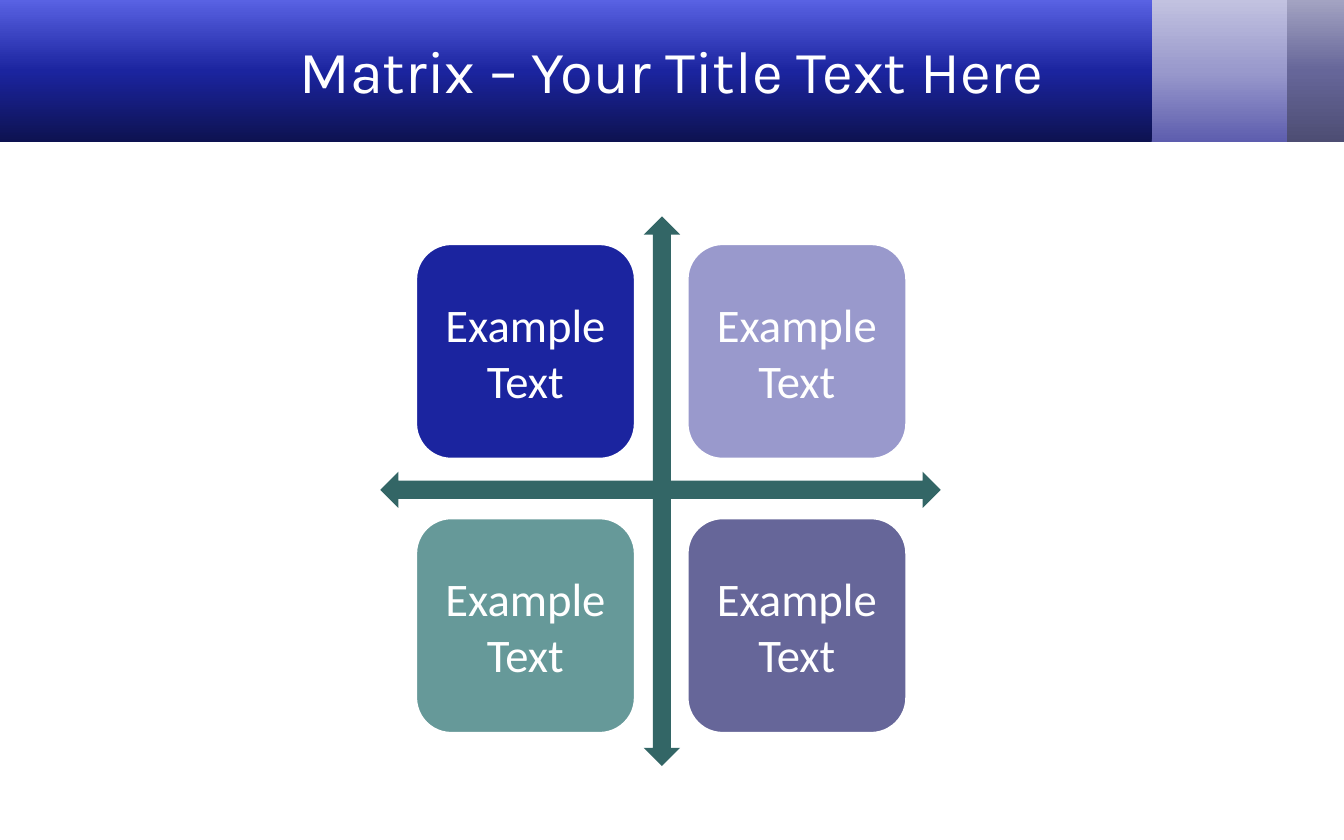
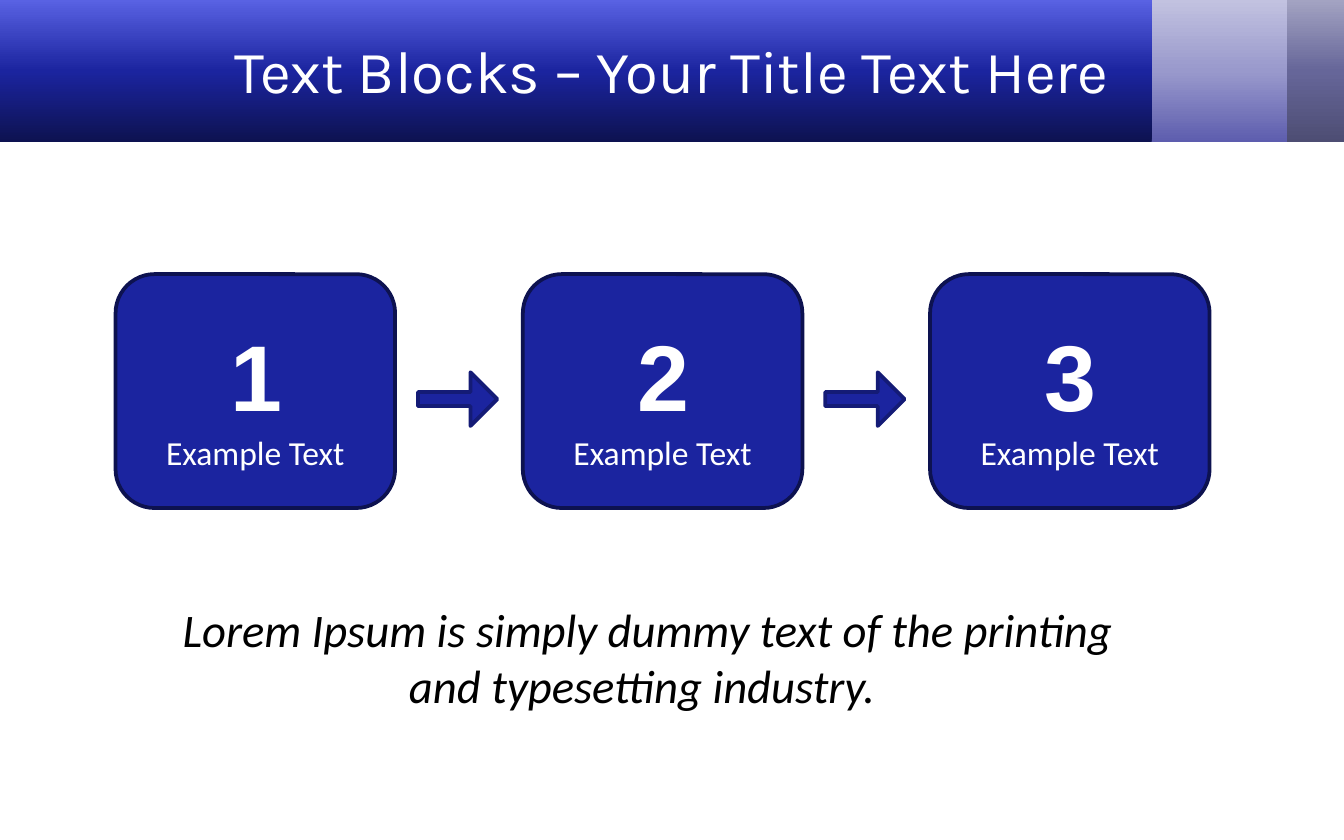
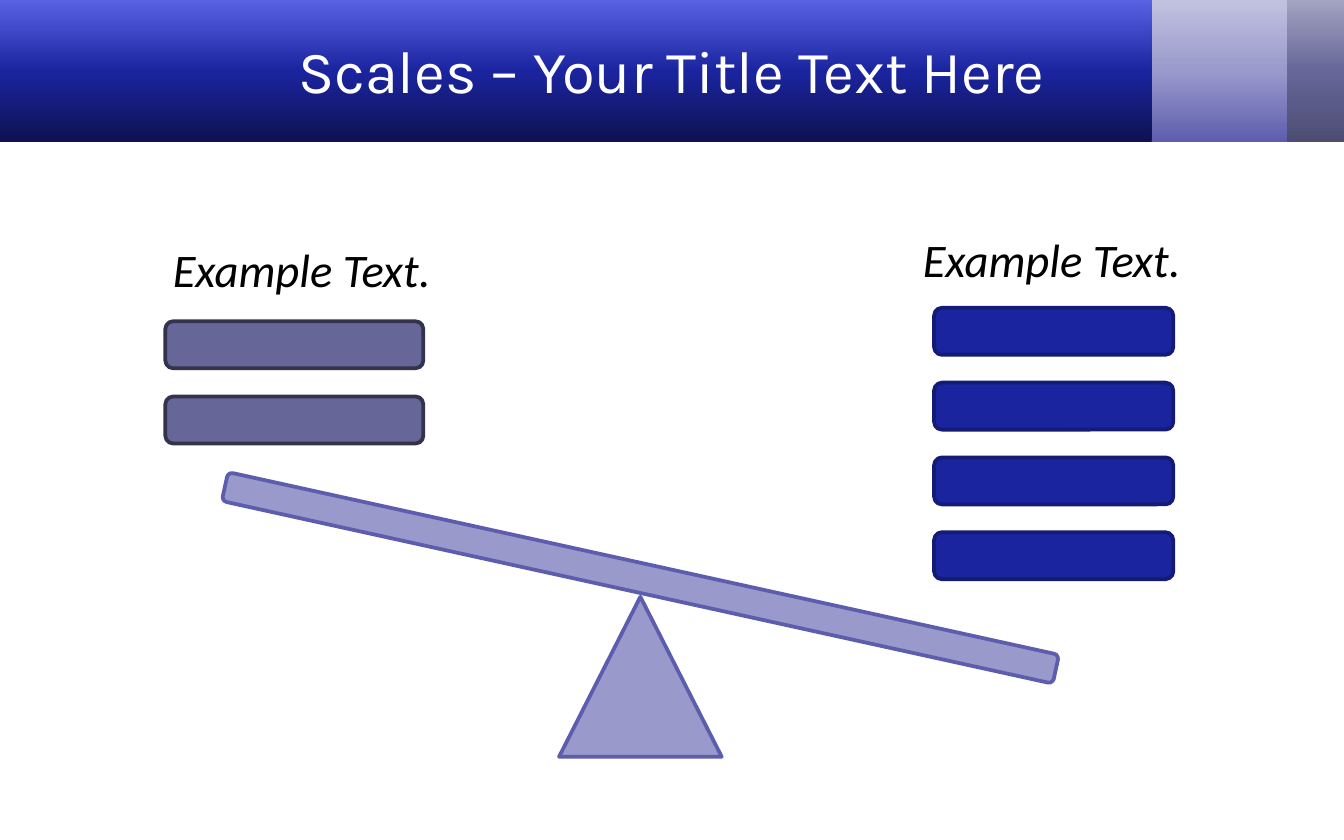
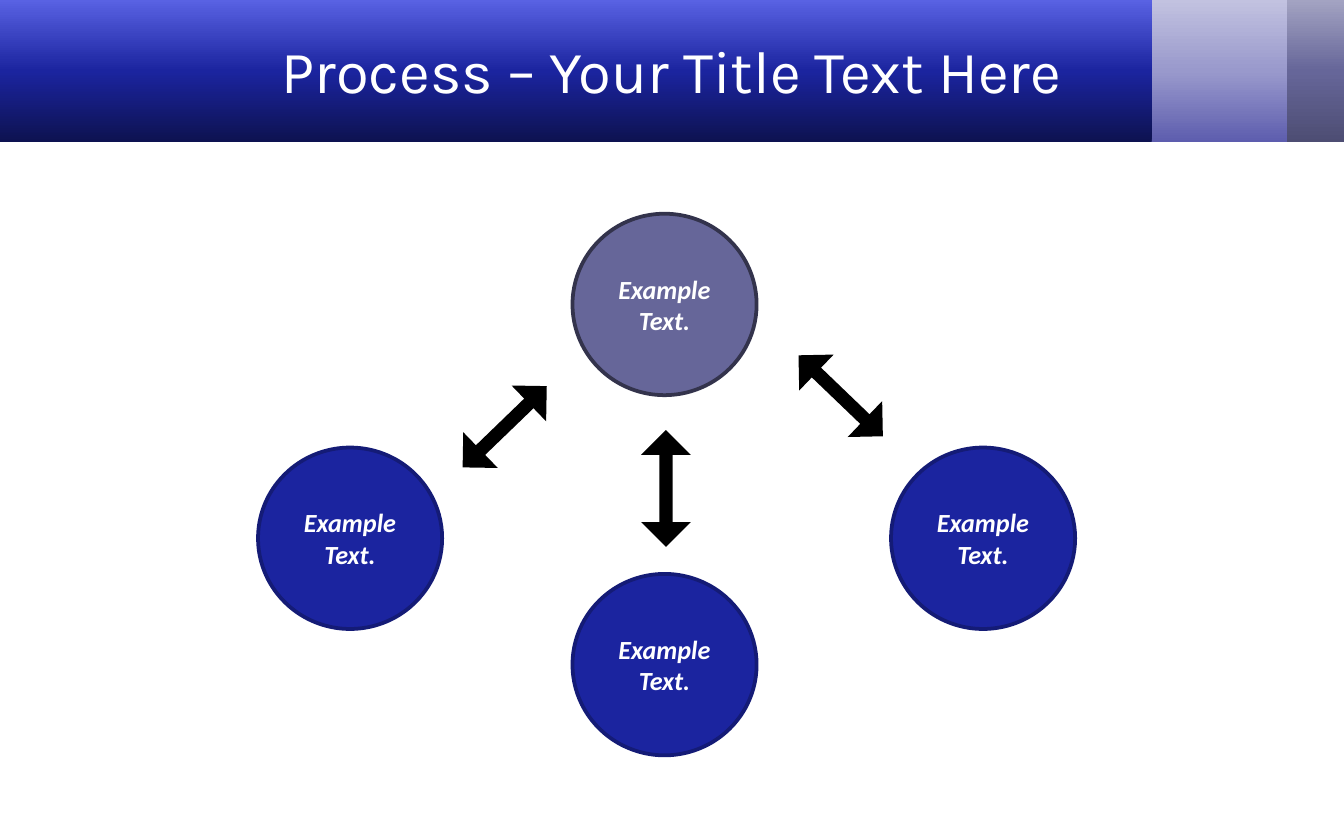
from copy import deepcopy

from pptx import Presentation
from pptx.dml.color import RGBColor
from pptx.enum import shapes, text
from pptx.oxml.ns import qn
from pptx.util import Inches, Pt

WHITE = RGBColor(0xFF, 0xFF, 0xFF)
BLACK = RGBColor(0, 0, 0)
NIGHT = RGBColor(0x0D, 0x12, 0x50)
NAVY = RGBColor(0x14, 0x1B, 0x76)
BLUE = RGBColor(0x1B, 0x24, 0x9F)
SKY = RGBColor(0x59, 0x62, 0xE3)
VIOLET = RGBColor(0x5D, 0x5D, 0xAE)
LILAC = RGBColor(0x99, 0x99, 0xCC)
PALE_LILAC = RGBColor(0xC2, 0xC2, 0xE0)
INK = RGBColor(0x33, 0x33, 0x4C)
DARK_SLATE = RGBColor(0x4D, 0x4D, 0x73)
SLATE = RGBColor(0x66, 0x66, 0x99)
PALE_SLATE = RGBColor(0xA3, 0xA3, 0xC2)
SEA = RGBColor(0x66, 0x99, 0x99)
TEAL = RGBColor(0x33, 0x66, 0x66)

SHAPE = shapes.MSO_SHAPE
ANCHOR = text.MSO_ANCHOR

# Bands at the top: box, colours from bottom to top
BAND_HEIGHT = 1.06
BANDS = [
    (9.43, 0.58, (DARK_SLATE, SLATE, PALE_SLATE)),
    (8.53, 1.05, (VIOLET, LILAC, PALE_LILAC)),
    (0, 8.57, (NIGHT, BLUE, SKY)),
]

TITLE_FONT = dict(name="Karla", size=Pt(32))
QUADRANT_FONT = dict(name="Calibri", size=Pt(25))
BLOCK_FONT = dict(name="Calibri", size=Pt(18))
NUMBER_FONT = dict(name="Arial", size=Pt(50), bold=True)
CAPTION_FONT = dict(name="Calibri", size=Pt(25), italic=True)
CIRCLE_FONT = dict(name="Calibri", size=Pt(14), bold=True, italic=True)

QUADRANTS = [
    [("Example Text", BLUE), ("Example Text", LILAC)],
    [("Example Text", SEA), ("Example Text", SLATE)],
]
AXES = [((2.88, 3.52, 4.09, 0.27), 90), ((2.83, 3.51, 4.17, 0.27), 0)]

BLOCKS = [("1", "Example Text"), ("2", "Example Text"), ("3", "Example Text")]
SUMMARY = ("Lorem Ipsum is simply dummy text of the printing "
           "and typesetting industry. ")

# Weights: caption, caption place, left, top, width, step, count, fill, line
WEIGHTS = [
    ("Example Text.", (1, 1.74), 1.23, 2.39, 1.92, 0.56, 2, SLATE, INK),
    ("Example Text.", (6.58, 1.67), 6.95, 2.29, 1.78, 1.67 / 3, 4, BLUE, NAVY),
]

CIRCLES = [
    ("Example Text.", 4.26, 1.59, SLATE, INK),
    ("Example Text.", 6.63, 3.33, BLUE, NAVY),
    ("Example Text.", 4.26, 4.27, BLUE, NAVY),
    ("Example Text.", 1.92, 3.33, BLUE, NAVY),
]
LINKS = [(4.52, 3.45, 90), (3.32, 2.99, 136), (5.82, 2.76, 223.8)]


def write(box, words, font, color, anchor):
    frame = box.text_frame
    frame.word_wrap = True
    frame.vertical_anchor = anchor
    paragraph = frame.paragraphs[0]
    paragraph.alignment = text.PP_ALIGN.CENTER
    run = paragraph.add_run()
    run.text = words
    for key, value in font.items():
        setattr(run.font, key, value)
    run.font.color.rgb = color


def add_words(slide, at, words, font, color=BLACK, anchor=ANCHOR.TOP):
    box = slide.shapes.add_textbox(*map(Inches, at))
    write(box, words, font, color, anchor)


def add_figure(slide, kind, at, fill=None, line=None, rotation=0, adjust=()):
    figure = slide.shapes.add_shape(kind, *map(Inches, at))
    figure.shadow.inherit = False
    figure.rotation = rotation
    for index, value in enumerate(adjust):
        figure.adjustments[index] = value
    if fill is not None:
        figure.fill.solid()
        figure.fill.fore_color.rgb = fill
    if line is None:
        figure.line.fill.background()
    else:
        figure.line.color.rgb = line
        figure.line.width = Pt(2)
    return figure


def fill_upward(figure, colors):
    """Gradient of three colours, the first at the bottom."""
    figure.fill.gradient()
    figure.fill.gradient_angle = 90
    stops = figure.element.spPr.find(qn("a:gradFill")).find(qn("a:gsLst"))
    stops.insert(1, deepcopy(stops[0]))
    for stop, color, position in zip(figure.fill.gradient_stops, colors, (0, 0.5, 1)):
        stop.color.rgb = color
        stop.position = position


def start_slide(deck, title):
    slide = deck.slides.add_slide(deck.slide_layouts[6])
    for left, width, colors in BANDS:
        band = add_figure(slide, SHAPE.RECTANGLE, (left, 0, width, BAND_HEIGHT))
        fill_upward(band, colors)
    add_words(slide, (0.5, 0.08, 9, 0.88), title, TITLE_FONT, WHITE, ANCHOR.MIDDLE)
    return slide


def build_matrix(deck):
    slide = start_slide(deck, "Matrix – Your Title Text Here")
    for row, quadrants in enumerate(QUADRANTS):
        for column, (words, fill) in enumerate(quadrants):
            at = (3.09 + column * 2.02, 1.81 + row * 2.04, 1.64, 1.61)
            quadrant = add_figure(slide, SHAPE.ROUNDED_RECTANGLE, at, fill, WHITE)
            write(quadrant, words, QUADRANT_FONT, WHITE, ANCHOR.MIDDLE)
    for at, rotation in AXES:
        add_figure(slide, SHAPE.LEFT_RIGHT_ARROW, at, TEAL, rotation=rotation)


def build_blocks(deck):
    slide = start_slide(deck, "Text Blocks – Your Title Text Here")
    for index, (number, words) in enumerate(BLOCKS):
        left = 0.86 + index * 3.03
        if index:
            add_figure(slide, SHAPE.RIGHT_ARROW, (left - 0.78, 2.77, 0.59, 0.4),
                       BLUE, NAVY, adjust=(0.26, 0.5))
        block = add_figure(slide, SHAPE.ROUNDED_RECTANGLE,
                           (left, 2.04, 2.08, 1.74), BLUE, NIGHT)
        write(block, words, BLOCK_FONT, WHITE, ANCHOR.BOTTOM)
        block.text_frame.margin_bottom = Inches(0.18)
        add_words(slide, (left + 0.64, 2.32, 0.81, 0.94), number, NUMBER_FONT, WHITE)
    add_words(slide, (1.19, 4.42, 7.25, 0.94), SUMMARY, CAPTION_FONT)


def build_scales(deck):
    slide = start_slide(deck, "Scales – Your Title Text Here")
    add_figure(slide, SHAPE.ISOSCELES_TRIANGLE, (4.16, 4.44, 1.21, 1.19), LILAC, VIOLET)
    add_figure(slide, SHAPE.ROUNDED_RECTANGLE, (1.6, 4.19, 6.33, 0.22),
               LILAC, VIOLET, rotation=12.4)
    for caption, place, left, top, width, step, count, fill, line in WEIGHTS:
        for index in reversed(range(count)):
            add_figure(slide, SHAPE.ROUNDED_RECTANGLE,
                       (left, top + index * step, width, 0.35), fill, line)
        add_words(slide, (*place, 2.49, 0.52), caption, CAPTION_FONT)


def build_process(deck):
    slide = start_slide(deck, "Process – Your Title Text Here")
    for words, left, top, fill, line in CIRCLES:
        circle = add_figure(slide, SHAPE.OVAL, (left, top, 1.37, 1.35), fill, line)
        write(circle, words, CIRCLE_FONT, WHITE, ANCHOR.MIDDLE)
    for left, top, rotation in LINKS:
        add_figure(slide, SHAPE.LEFT_RIGHT_ARROW, (left, top, 0.87, 0.37), BLACK,
                   rotation=rotation, adjust=(0.27, 0.5))


def main():
    deck = Presentation()
    deck.slide_width, deck.slide_height = Inches(10), Inches(6.25)
    for build in (build_matrix, build_blocks, build_scales, build_process):
        build(deck)
    deck.save("out.pptx")


if __name__ == "__main__":
    main()
